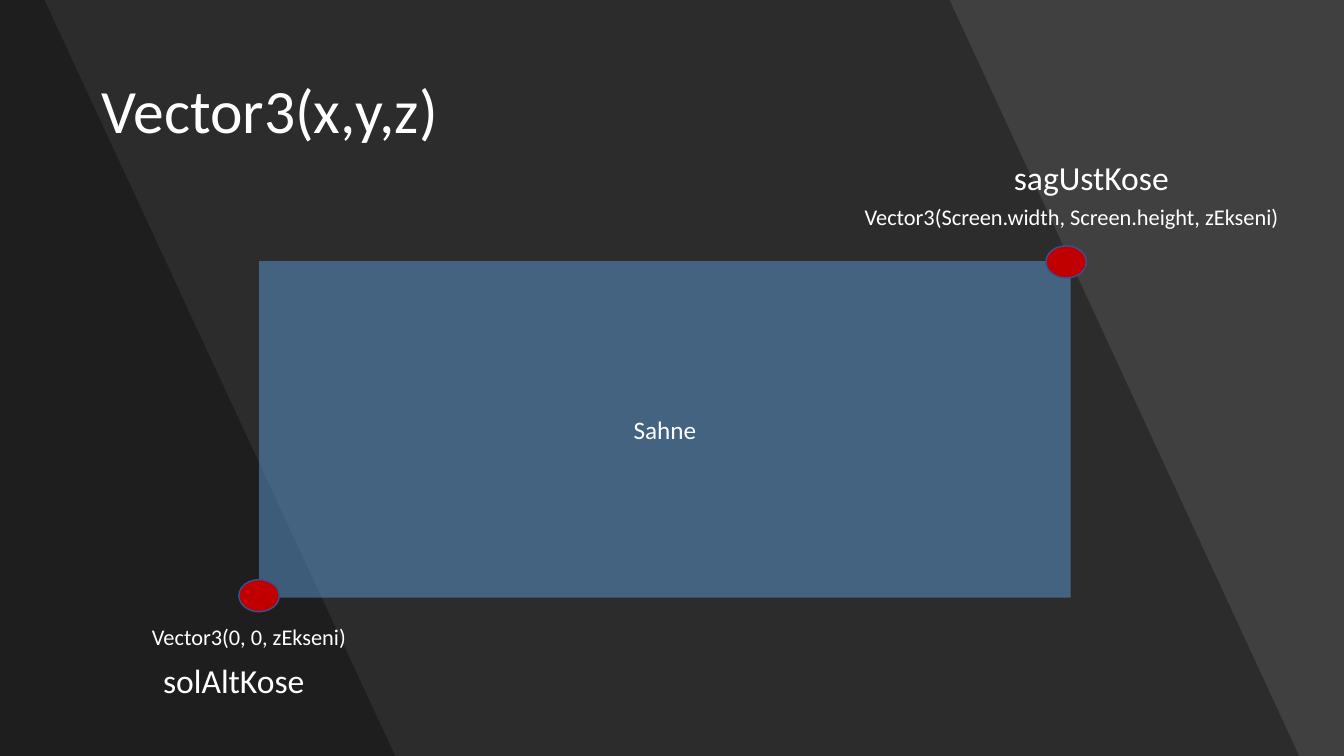
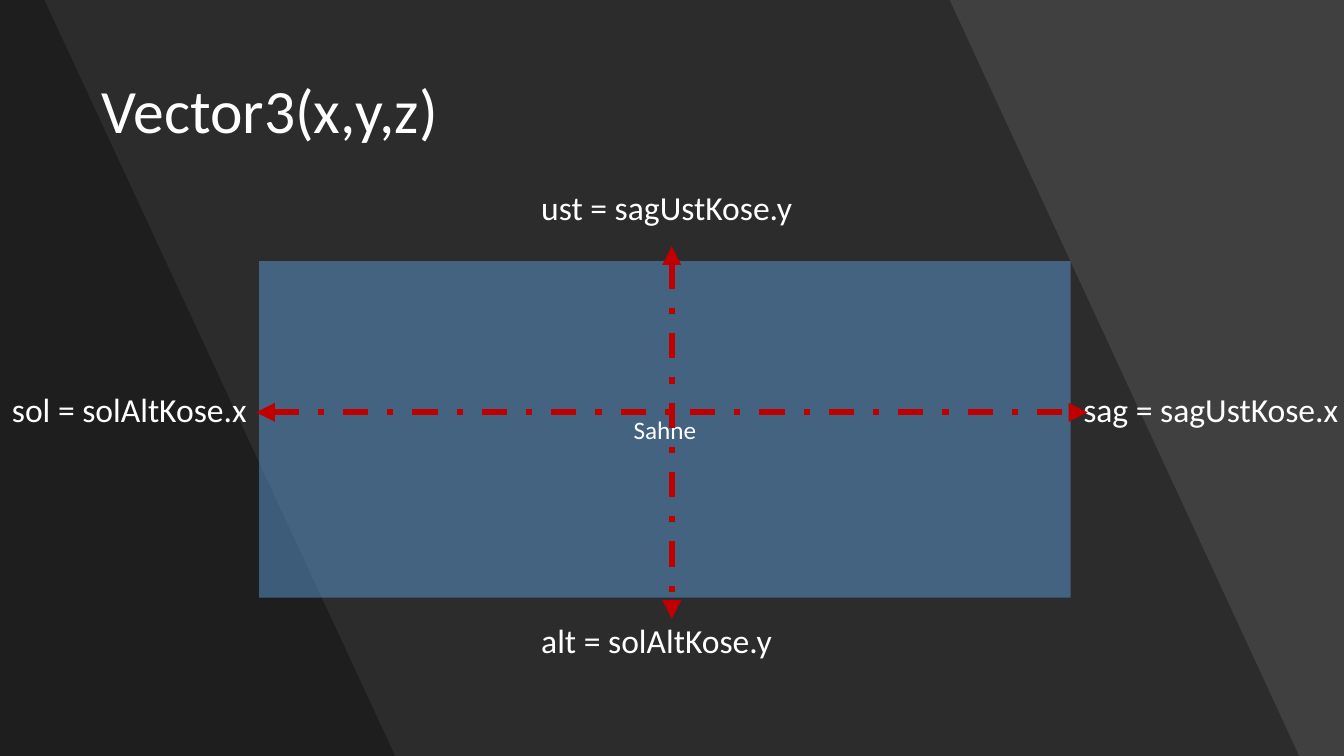
from dataclasses import dataclass

from lxml import etree
from pptx import Presentation
from pptx.dml.color import RGBColor
from pptx.enum.dml import MSO_LINE
from pptx.enum.shapes import MSO_CONNECTOR, MSO_SHAPE, PP_PLACEHOLDER
from pptx.enum.text import MSO_ANCHOR, MSO_AUTO_SIZE, PP_ALIGN
from pptx.oxml.ns import qn
from pptx.util import Cm, Pt


@dataclass(frozen=True)
class Theme:
    font: str = "Calibri"
    background: str = "404040"
    band: str = "000000"
    text: str = "FFFFFF"
    stage: str = "5B9BD5"
    accent: str = "C00000"
    dot_line: str = "325491"
    band_alpha: int = 30
    stage_alpha: int = 50
    title_size: int = 44
    label_size: int = 24
    stage_size: int = 18
    code_size: int = 16


THEME = Theme()
WIDTH, HEIGHT = 33.87, 19.05
TITLE_BOX = (2.31, 1.02, 29.24, 3.68)
STAGE_BOX = (6.53, 6.58, 20.45, 8.48)
BANDS = [(23.93, 32.74), (1.12, 9.96)]
DOT_SIZE = (1.02, 0.81)
LABEL_SIZE = (6.8, 1.25)
CODE_SIZE = (10.9, 0.94)

SLIDES = [
    {
        "title": "Vector3(x,y,z)",
        "stage": "Sahne",
        "codes": [
            ("Vector3(Screen.width, Screen.height, zEkseni)", 21.54, 5.08, 0.9),
            ("Vector3(0, 0, zEkseni)", 3.58, 15.72, 0.8),
        ],
        "labels": [("solAltKose", 3.86, 16.61), ("sagUstKose", 25.3, 3.94)],
        "dots": [(26.87, 6.6), (6.53, 15.01)],
        "arrows": [],
    },
    {
        "title": "Vector3(x,y,z)",
        "stage": "Sahne",
        "codes": [],
        "labels": [
            ("alt = solAltKose.y", 13.39, 15.6),
            ("ust = sagUstKose.y", 13.39, 4.7),
            ("sag = sagUstKose.x", 27.05, 9.78),
            ("sol = solAltKose.x", 0.05, 9.78),
        ],
        "dots": [],
        "arrows": [(16.93, 6.2, 16.93, 15.6), (6.45, 10.39, 27.41, 10.39)],
    },
]


def rgb(color):
    return RGBColor.from_string(color)


def lengths(*values):
    return [Cm(v) for v in values]


def write(sp, text, *, size, align=PP_ALIGN.LEFT, anchor=MSO_ANCHOR.TOP,
          spacing=1.0, after=0, wrap=True):
    tf = sp.text_frame
    tf.auto_size = MSO_AUTO_SIZE.NONE
    tf.word_wrap = wrap
    tf.vertical_anchor = anchor
    p = tf.paragraphs[0]
    p.alignment = align
    p.line_spacing = spacing
    p.space_before, p.space_after = Pt(0), Pt(after)
    r = p.add_run()
    r.text = text
    r.font.name, r.font.size = THEME.font, Pt(size)
    r.font.color.rgb = rgb(THEME.text)


def paint(sp, color, alpha=100, line=None):
    sp.shadow.inherit = False
    sp.fill.solid()
    sp.fill.fore_color.rgb = rgb(color)
    if alpha < 100:
        clr = next(sp.element.iter(qn("a:srgbClr")))
        etree.SubElement(clr, qn("a:alpha")).set("val", str(alpha * 1000))
    if line:
        sp.line.color.rgb = rgb(line)
        sp.line.width = Pt(1)
    else:
        sp.line.fill.background()


def add_label(s, text, x, y, box, size, spacing=0.9):
    sp = s.shapes.add_textbox(*lengths(x, y, *box))
    sp.text_frame.margin_right = 0
    write(sp, text, size=size, spacing=spacing, after=6, wrap=False)


def add_stage(s, text):
    sp = s.shapes.add_shape(MSO_SHAPE.RECTANGLE, *lengths(*STAGE_BOX))
    paint(sp, THEME.stage, THEME.stage_alpha)
    write(sp, text, size=THEME.stage_size, align=PP_ALIGN.CENTER,
          anchor=MSO_ANCHOR.MIDDLE)


def add_dot(s, cx, cy):
    w, h = DOT_SIZE
    sp = s.shapes.add_shape(MSO_SHAPE.OVAL, *lengths(cx - w / 2, cy - h / 2, w, h))
    paint(sp, THEME.accent, line=THEME.dot_line)


def add_arrow(s, *ends):
    c = s.shapes.add_connector(MSO_CONNECTOR.STRAIGHT, *lengths(*ends))
    c.line.color.rgb = rgb(THEME.accent)
    c.line.width = Pt(4.5)
    c.line.dash_style = MSO_LINE.DASH_DOT
    ln = c.line._get_or_add_ln()
    for tag in ("a:headEnd", "a:tailEnd"):
        etree.SubElement(ln, qn(tag)).set("type", "triangle")
    etree.SubElement(c.element.spPr, qn("a:effectLst"))


def set_up_layout(layout, s):
    layout.background.fill.solid()
    layout.background.fill.fore_color.rgb = rgb(THEME.background)
    tree = layout.shapes.element
    for ph in list(layout.placeholders):
        if ph.placeholder_format.type != PP_PLACEHOLDER.TITLE:
            tree.remove(ph.element)
    for i, (top, bottom) in enumerate(BANDS):
        builder = s.shapes.build_freeform(0, 0)
        corners = [(top, 0), (bottom, HEIGHT), (0, HEIGHT)]
        builder.add_line_segments([lengths(*c) for c in corners], close=True)
        sp = builder.convert_to_shape()
        paint(sp, THEME.band, THEME.band_alpha)
        sp.element.nvSpPr.cNvPr.set("id", str(20 + i))
        tree.insert(2 + i, sp.element)


def add_slide(prs, layout, content):
    s = prs.slides.add_slide(layout)
    title = s.shapes.title
    title.left, title.top, title.width, title.height = lengths(*TITLE_BOX)
    write(title, content["title"], size=THEME.title_size, spacing=0.9,
          anchor=MSO_ANCHOR.MIDDLE)
    for text, x, y, spacing in content["codes"]:
        add_label(s, text, x, y, CODE_SIZE, THEME.code_size, spacing)
    for text, x, y in content["labels"]:
        add_label(s, text, x, y, LABEL_SIZE, THEME.label_size)
    add_stage(s, content["stage"])
    for center in content["dots"]:
        add_dot(s, *center)
    for ends in content["arrows"]:
        add_arrow(s, *ends)
    return s


def main():
    prs = Presentation()
    prs.slide_width, prs.slide_height = lengths(WIDTH, HEIGHT)
    layout = prs.slide_layouts.get_by_name("Title Only")
    slides = [add_slide(prs, layout, content) for content in SLIDES]
    set_up_layout(layout, slides[0])
    prs.save("out.pptx")


if __name__ == "__main__":
    main()
